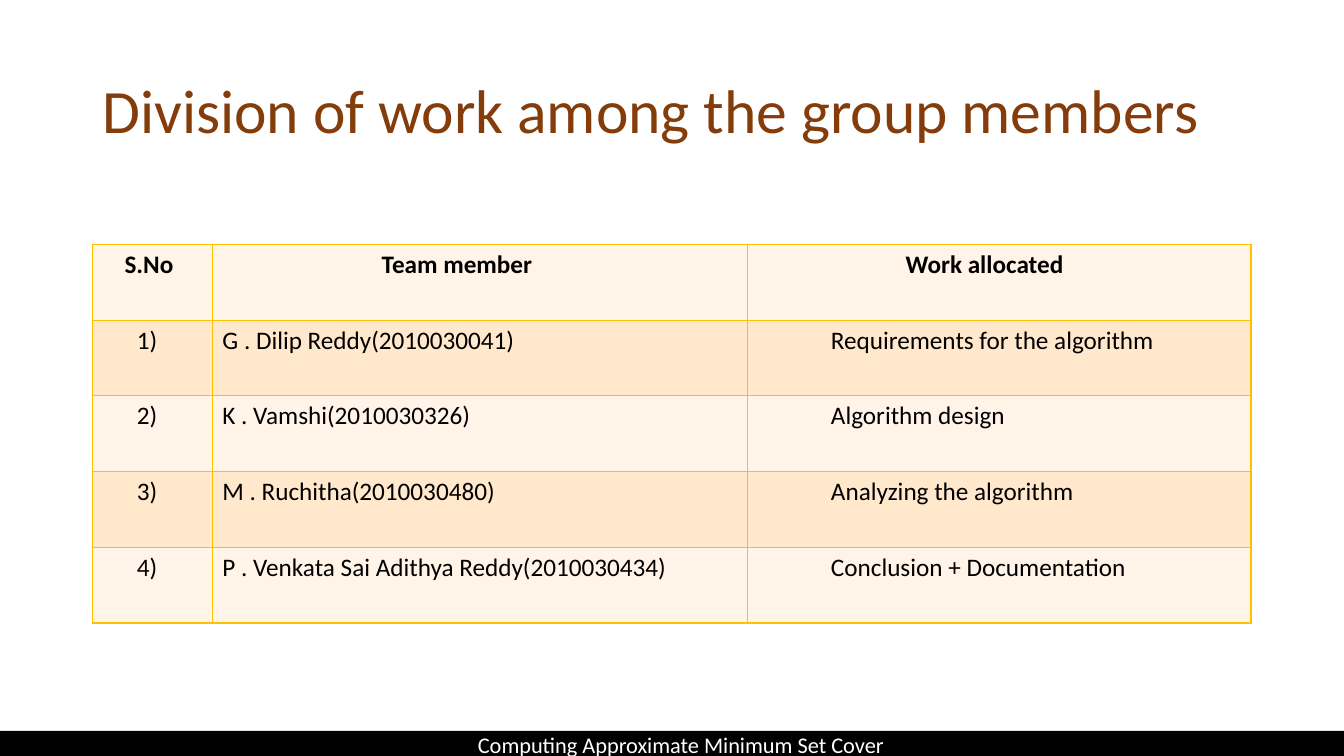
from dataclasses import dataclass

from lxml import etree
from pptx import Presentation
from pptx.dml.color import RGBColor
from pptx.enum.shapes import MSO_SHAPE
from pptx.enum.text import MSO_ANCHOR, PP_ALIGN
from pptx.oxml.ns import qn
from pptx.util import Pt

RECTANGLE = MSO_SHAPE.RECTANGLE
MIDDLE = MSO_ANCHOR.MIDDLE
LEFT = PP_ALIGN.LEFT
CENTER = PP_ALIGN.CENTER
BLANK_LAYOUT = 6


@dataclass(frozen=True)
class Theme:
    font: str = "Calibri"
    title_color: str = "843C0B"
    text_color: str = "000000"
    footer_color: str = "FFFFFF"
    footer_fill: str = "000000"
    border_color: str = "FFC000"
    band_fills: tuple = ("FFF4E7", "FFE8CC")
    title_size: float = 44
    table_size: float = 18
    footer_size: float = 16
    border_width: float = 1


THEME = Theme()

COLUMN_WIDTHS = (85.7, 382.3, 359.6)
ROW_HEIGHT = 54.1
HEADER_INDENTS = (23, 121, 113)
BODY_INDENTS = (31.7, 7.2, 59.6)
WORK_ROWS = (
    ("S.No", "Team member", "Work allocated"),
    ("1)", "G . Dilip Reddy(2010030041)", "Requirements for the algorithm"),
    ("2)", "K . Vamshi(2010030326)", "Algorithm design"),
    ("3)", "M . Ruchitha(2010030480)", "Analyzing the algorithm"),
    ("4)", "P . Venkata Sai Adithya Reddy(2010030434)", "Conclusion + Documentation"),
)


def write_text(text_frame, text, size, color, bold=False, alignment=LEFT):
    text_frame.text = text
    text_frame.word_wrap = True
    paragraph = text_frame.paragraphs[0]
    paragraph.alignment = alignment
    font = paragraph.runs[0].font
    font.name = THEME.font
    font.size = Pt(size)
    font.bold = bold
    font.color.rgb = RGBColor.from_string(color)
    return paragraph


def add_title(slide, text):
    title = slide.shapes.add_textbox(Pt(66), Pt(28.8), Pt(828), Pt(104.4))
    title.text_frame.vertical_anchor = MIDDLE
    paragraph = write_text(title.text_frame, text, THEME.title_size, THEME.title_color)
    paragraph.line_spacing = 0.9


def add_borders(cell):
    properties = cell._tc.get_or_add_tcPr()
    for side in ("a:lnL", "a:lnR", "a:lnT", "a:lnB"):
        line = etree.SubElement(properties, qn(side), w=str(Pt(THEME.border_width)))
        fill = etree.SubElement(line, qn("a:solidFill"))
        etree.SubElement(fill, qn("a:srgbClr"), val=THEME.border_color)


def format_cell(cell, text, indent, fill, bold):
    write_text(cell.text_frame, text, THEME.table_size, THEME.text_color, bold)
    cell.margin_left = Pt(indent)
    add_borders(cell)
    cell.fill.solid()
    cell.fill.fore_color.rgb = RGBColor.from_string(fill)


def add_work_table(slide, rows):
    frame = slide.shapes.add_table(
        len(rows), len(COLUMN_WIDTHS), Pt(66), Pt(174.6),
        Pt(sum(COLUMN_WIDTHS)), Pt(ROW_HEIGHT * len(rows)),
    )
    table = frame.table
    table.first_row = False
    table.horz_banding = False
    for column, width in zip(table.columns, COLUMN_WIDTHS):
        column.width = Pt(width)
    for row_index, texts in enumerate(rows):
        table.rows[row_index].height = Pt(ROW_HEIGHT)
        is_header = row_index == 0
        indents = HEADER_INDENTS if is_header else BODY_INDENTS
        fill = THEME.band_fills[row_index % 2]
        for column_index, (text, indent) in enumerate(zip(texts, indents)):
            format_cell(table.cell(row_index, column_index), text, indent, fill, is_header)


def add_footer(slide, text):
    footer = slide.shapes.add_shape(RECTANGLE, Pt(-1.4), Pt(522), Pt(972.7), Pt(19.4))
    footer.shadow.inherit = False
    footer.fill.solid()
    footer.fill.fore_color.rgb = RGBColor.from_string(THEME.footer_fill)
    footer.line.fill.background()
    footer.text_frame.vertical_anchor = MIDDLE
    footer.text_frame.margin_left = Pt(10)
    write_text(footer.text_frame, text, THEME.footer_size, THEME.footer_color, alignment=CENTER)


def main():
    presentation = Presentation()
    presentation.slide_width = Pt(960)
    presentation.slide_height = Pt(540)
    slide = presentation.slides.add_slide(presentation.slide_layouts[BLANK_LAYOUT])
    add_title(slide, "Division of work among the group members")
    add_work_table(slide, WORK_ROWS)
    add_footer(slide, "Computing Approximate Minimum Set Cover")
    presentation.save("out.pptx")


if __name__ == "__main__":
    main()
